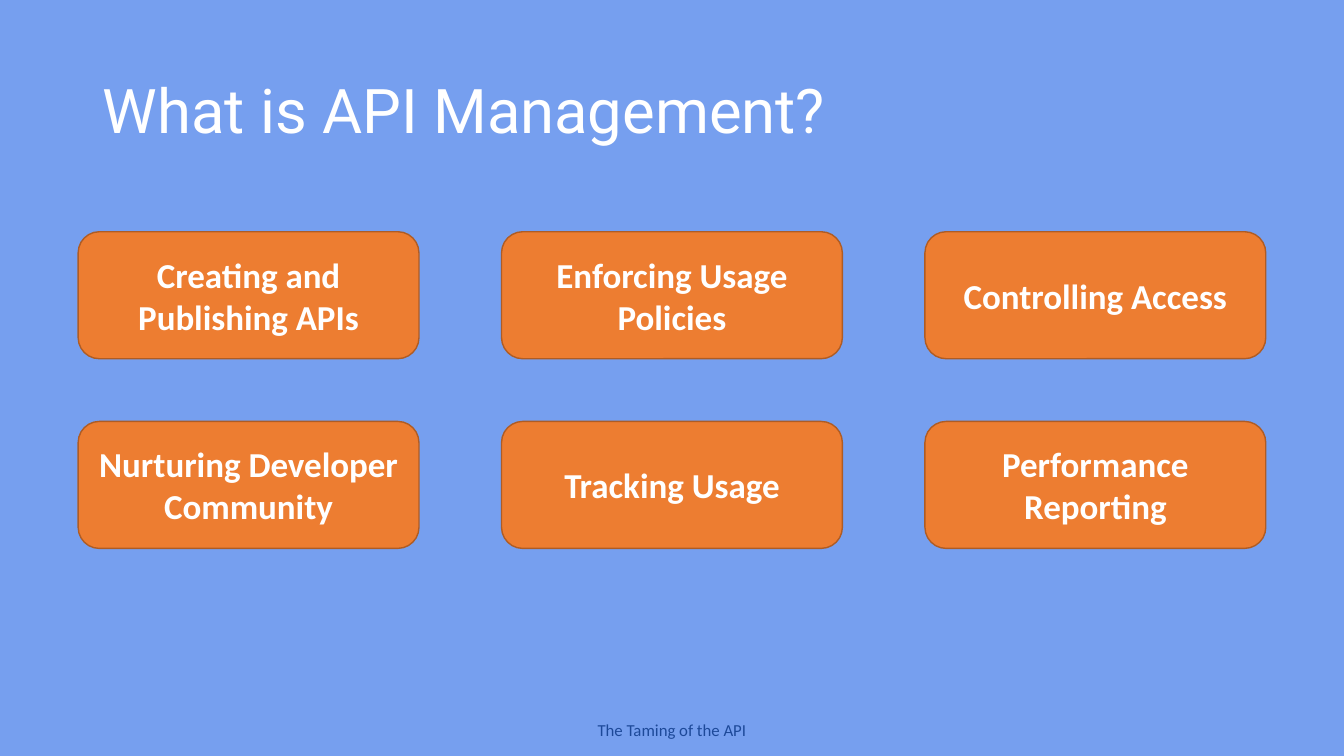
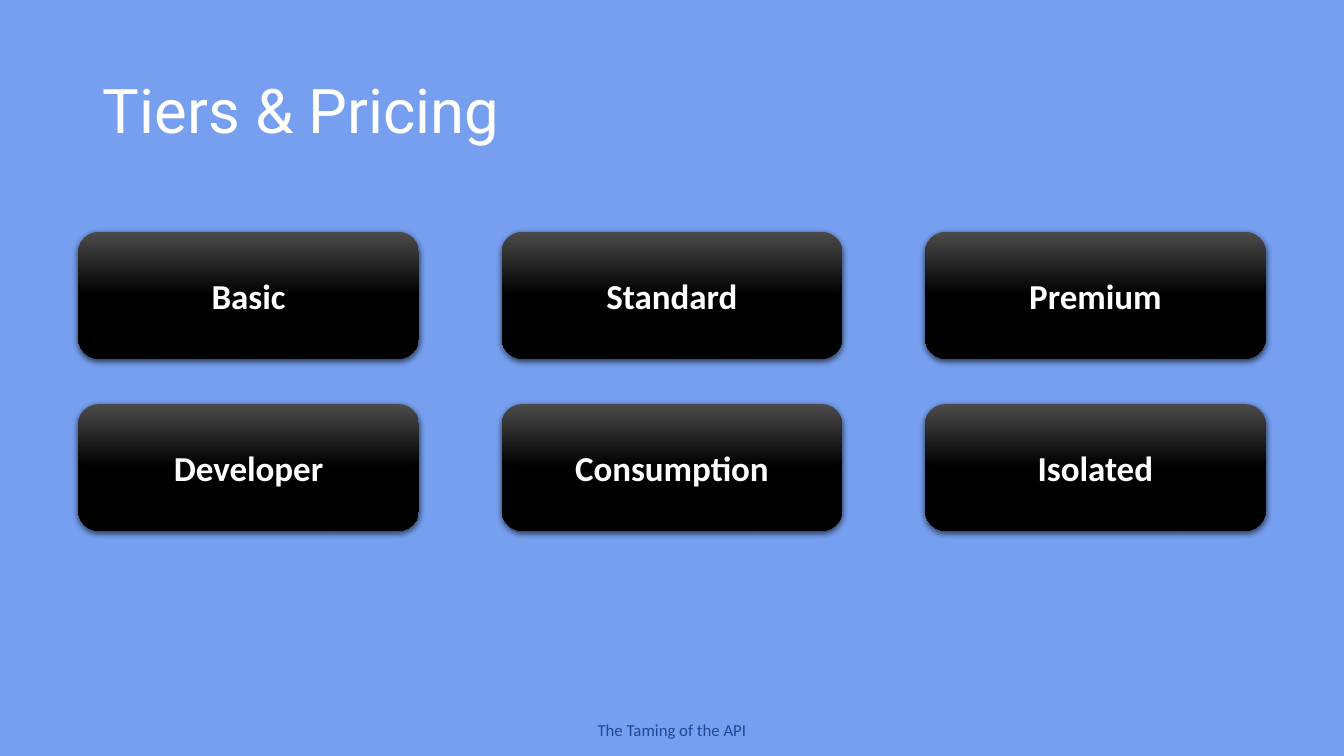
from collections import namedtuple

from lxml.etree import SubElement
from pptx import Presentation
from pptx.dml.color import RGBColor
from pptx.enum.shapes import MSO_SHAPE as Preset
from pptx.enum.text import MSO_ANCHOR as Anchor, MSO_AUTO_SIZE as AutoSize, PP_ALIGN as Align
from pptx.oxml.ns import qn
from pptx.util import Cm, Pt

Box = namedtuple("Box", "left top width height")

SLIDE_WIDTH, SLIDE_HEIGHT = 33.87, 19.05
TITLE_BOX = Box(2.34, 1.02, 29.21, 3.68)
FOOTER_BOX = Box((SLIDE_WIDTH - 4.32) / 2, 18.01, 4.32, 0.76)
CARD_WIDTH, CARD_HEIGHT = 8.59, 3.2
COLUMNS, ROWS = 3, 2

SKY, NAVY, WHITE, BLACK = "769FEF", "1D4999", "FFFFFF", "000000"
ORANGE, RUST, CHARCOAL = "ED7D31", "AF5C24", "4B4B4B"

TOPICS = [
    "Creating and Publishing APIs", "Enforcing Usage Policies", "Controlling Access",
    "Nurturing Developer Community", "Tracking Usage", "Performance Reporting",
]
TIERS = ["Basic", "Standard", "Premium", "Developer", "Consumption", "Isolated"]


def paint(color_format, hex_code):
    color_format.rgb = RGBColor.from_string(hex_code)


def paint_solid(fill, hex_code):
    fill.solid()
    paint(fill.fore_color, hex_code)


def place(shape, box):
    shape.left, shape.top, shape.width, shape.height = map(Cm, box)


def write(shape, text, size, font_name, color, align, bold=False):
    shape.text_frame.text = text
    paragraph = shape.text_frame.paragraphs[0]
    paragraph.alignment = align
    font = paragraph.font
    font.name, font.size, font.bold = font_name, Pt(size), bold
    paint(font.color, color)
    return paragraph


def style_flat(card):
    paint_solid(card.fill, ORANGE)
    paint(card.line.color, RUST)
    card.line.width = Pt(1)


def style_glossy(card):
    card.fill.gradient()
    card.fill.gradient_angle = 270
    stops = zip(card.fill.gradient_stops, [(0, CHARCOAL), (0.5, BLACK)])
    for stop, (position, color) in stops:
        stop.position = position
        paint(stop.color, color)
    card.line.fill.background()
    effects = card._element.spPr.find(qn("a:effectLst"))
    shadow = SubElement(
        effects, qn("a:outerShdw"), blurRad=str(Pt(4.5)), dist=str(Pt(1.5)),
        dir="5400000", algn="ctr", rotWithShape="0",
    )
    shade = SubElement(shadow, qn("a:srgbClr"), val=BLACK)
    SubElement(shade, qn("a:alpha"), val="63000")


def add_title(slide, text, box):
    title = slide.shapes.title
    place(title, box)
    title.text_frame.vertical_anchor = Anchor.MIDDLE
    title.text_frame.auto_size = AutoSize.NONE
    write(title, text, 44, "Roboto", WHITE, Align.LEFT).line_spacing = 0.9


def add_footer(slide, box):
    footer = slide.shapes.add_textbox(*map(Cm, box))
    footer.text_frame.word_wrap = False
    footer.text_frame.auto_size = AutoSize.SHAPE_TO_FIT_TEXT
    write(footer, "The Taming of the API", 12, "Calibri", NAVY, Align.CENTER)


def add_card_grid(slide, labels, box, style):
    column_step = (box.width - CARD_WIDTH) / (COLUMNS - 1)
    row_step = (box.height - CARD_HEIGHT) / (ROWS - 1)
    for index, label in enumerate(labels):
        row, column = divmod(index, COLUMNS)
        card_box = Box(box.left + column * column_step, box.top + row * row_step,
                       CARD_WIDTH, CARD_HEIGHT)
        card = slide.shapes.add_shape(Preset.ROUNDED_RECTANGLE, *map(Cm, card_box))
        card.shadow.inherit = False
        style(card)
        card.text_frame.word_wrap = True
        card.text_frame.vertical_anchor = Anchor.MIDDLE
        write(card, label, 25, "Calibri", WHITE, Align.CENTER, bold=True)


def add_card_slide(deck, title, labels, grid_height, style):
    slide = deck.slides.add_slide(deck.slide_layouts.get_by_name("Title Only"))
    add_footer(slide, FOOTER_BOX)
    add_title(slide, title, TITLE_BOX)
    add_card_grid(slide, labels, Box(1.97, 5.84, 29.93, grid_height), style)


def main():
    deck = Presentation()
    deck.slide_width, deck.slide_height = Cm(SLIDE_WIDTH), Cm(SLIDE_HEIGHT)
    paint_solid(deck.slide_master.background.fill, SKY)
    add_card_slide(deck, "What is API Management?", TOPICS, 7.98, style_flat)
    add_card_slide(deck, "Tiers & Pricing", TIERS, 7.54, style_glossy)
    deck.save("out.pptx")


if __name__ == "__main__":
    main()
